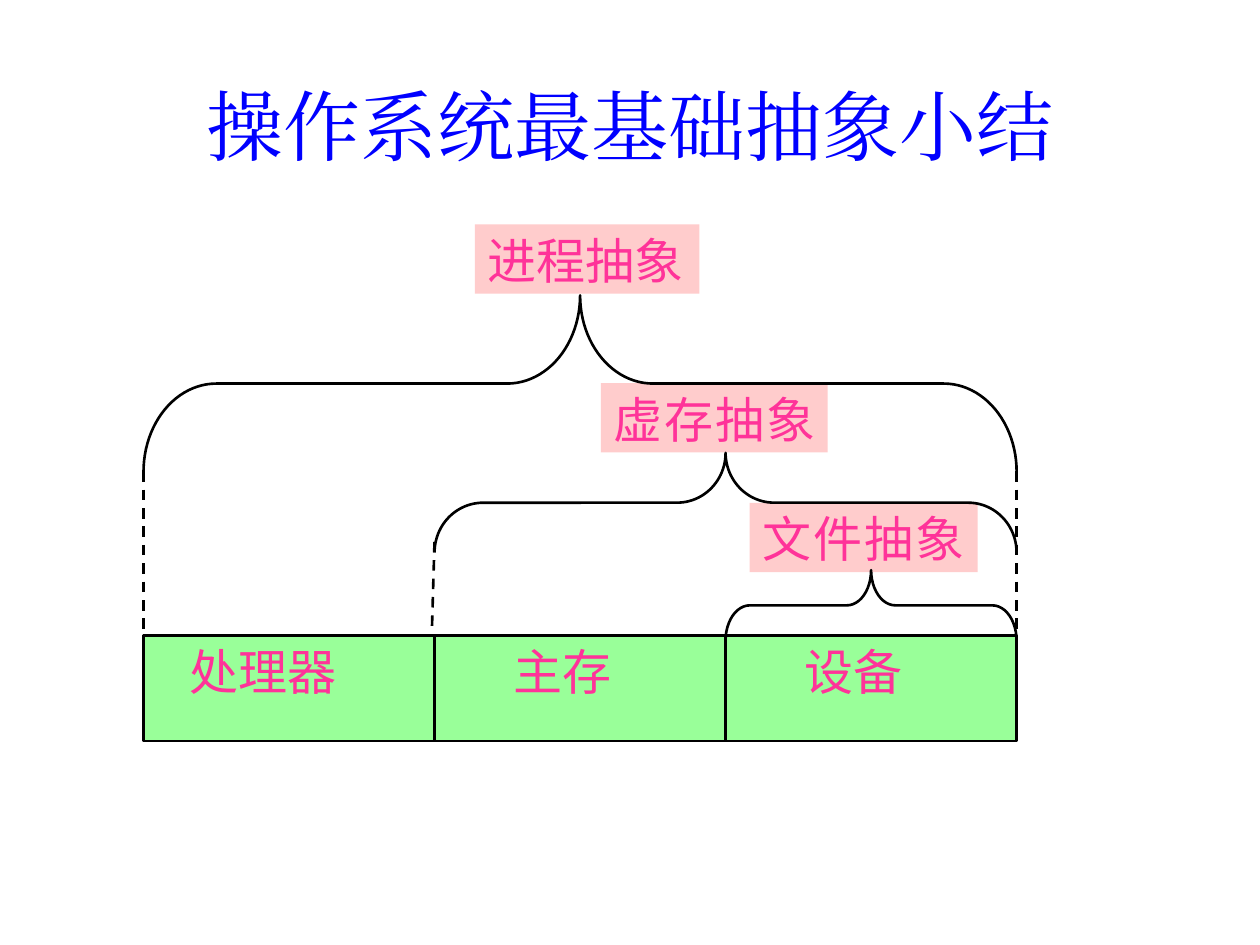
import pptx
import pptx.util
import pptx.dml.color
import pptx.enum.dml
import pptx.enum.shapes
import pptx.enum.text
import lxml.etree
from pptx.oxml.ns import qn

Pt = pptx.util.Pt
SHAPE = pptx.enum.shapes.MSO_SHAPE
ANCHOR = pptx.enum.text.MSO_ANCHOR
ALIGN = pptx.enum.text.PP_ALIGN

LEFT, TOP, CELL, HIGH = 82, 363, 166.3, 60.5
RIGHT = LEFT + 3 * CELL
PINK, ROSE, GREEN, BLUE, BLACK = "FF3399", "FFCCCC", "99FF99", "0000FF", "000000"
LABEL = {"name": "Noto Sans CJK JP", "size": Pt(28)}
TITLE = {"name": "Times New Roman", "size": Pt(44), "bold": False}
INSET = {"margin_left": Pt(7.2), "margin_right": 0, "margin_top": Pt(3.6),
         "margin_bottom": Pt(3.6), "word_wrap": True,
         "vertical_anchor": ANCHOR.TOP}


def put(item, vals):
    for key, val in vals.items():
        setattr(item, key, val)


def paint(color, code):
    color.rgb = pptx.dml.color.RGBColor.from_string(code)


def ink(line):
    paint(line.color, BLACK)
    line.width = Pt(1.5)


def write(frame, text, font, code, align):
    par = frame.paragraphs[0]
    par.alignment = align
    run = par.add_run()
    run.text = text
    put(run.font, font)
    paint(run.font.color, code)
    east = lxml.etree.SubElement(run.font._element, qn("a:ea"))
    east.set("typeface", font["name"])
    return run


def add_box(slide, text, x, y, w, h, fill, edge=False, indent=0, gap=0):
    box = slide.shapes.add_shape(SHAPE.RECTANGLE, Pt(x), Pt(y), Pt(w), Pt(h))
    box.shadow.inherit = False
    box.fill.solid()
    paint(box.fill.fore_color, fill)
    if edge:
        ink(box.line)
    else:
        box.line.fill.background()
    put(box.text_frame, INSET)
    box.text_frame.margin_left = Pt(7.2 + indent)
    run = write(box.text_frame, text, LABEL, PINK, ALIGN.LEFT)
    if gap:  # letter spacing, in hundredths of a point
        run.font._element.set("spc", str(gap))


def add_brace(slide, left, top, high, bend):
    # A left brace turned a quarter, so its frame is laid out upright
    wide = RIGHT - left
    x = left + (wide - high) / 2
    y = top + (high - wide) / 2
    brace = slide.shapes.add_shape(SHAPE.LEFT_BRACE, Pt(x), Pt(y), Pt(high), Pt(wide))
    brace.rotation = 90
    brace.adjustments[0] = bend
    brace.adjustments[1] = 0.5
    brace.shadow.inherit = False
    brace.fill.background()
    ink(brace.line)


def add_dash(slide, x1, y1, x2, y2):
    kind = pptx.enum.shapes.MSO_CONNECTOR.STRAIGHT
    dash = slide.shapes.add_connector(kind, Pt(x1), Pt(y1), Pt(x2), Pt(y2))
    ink(dash.line)
    dash.line.dash_style = pptx.enum.dml.MSO_LINE.DASH
    lxml.etree.SubElement(dash._element.spPr, qn("a:effectLst"))


def add_title(slide, text):
    title = slide.shapes.title
    put(title, {"left": Pt(54), "top": Pt(26), "width": Pt(612), "height": Pt(90)})
    title.text_frame.vertical_anchor = ANCHOR.MIDDLE
    write(title.text_frame, text, TITLE, BLUE, ALIGN.CENTER)


def main():
    deck = pptx.Presentation()
    put(deck, {"slide_width": Pt(720), "slide_height": Pt(540)})
    slide = deck.slides.add_slide(deck.slide_layouts[5])
    add_title(slide, "操作系统最基础抽象小结")

    # Abstractions, from the inner to the outer
    for text, x, y, w, gap in (("文件抽象", 428.4, 287.3, 130.3, 130),
                               ("虚存抽象", 343.4, 218.9, 129.6, 130),
                               ("进程抽象", 271.4, 128.2, 128.2, 0)):
        add_box(slide, text, x, y, w, 39.6, ROSE, gap=gap)

    # Hardware row
    for col, (text, indent) in enumerate((("处理器", 19), ("主存", 38), ("设备", 38))):
        add_box(slide, text, LEFT + col * CELL, TOP, CELL, HIGH, GREEN, True, indent)

    # Each brace spans from its column to the right edge
    for col, top, high, bend in ((2, 325.8, 40.3, 0.344),
                                 (1, 258.8, 56.9, 0.488),
                                 (0, 168.8, 100.8, 0.413)):
        add_brace(slide, LEFT + col * CELL, top, high, bend)

    # Dashed drops to the row
    for x1, y1, x2 in ((LEFT + CELL, 309.6, LEFT + CELL - 1.5),
                       (LEFT, 269.3, LEFT), (RIGHT, 269.3, RIGHT)):
        add_dash(slide, x1, y1, x2, 360.7)

    deck.save("out.pptx")


if __name__ == "__main__":
    main()
